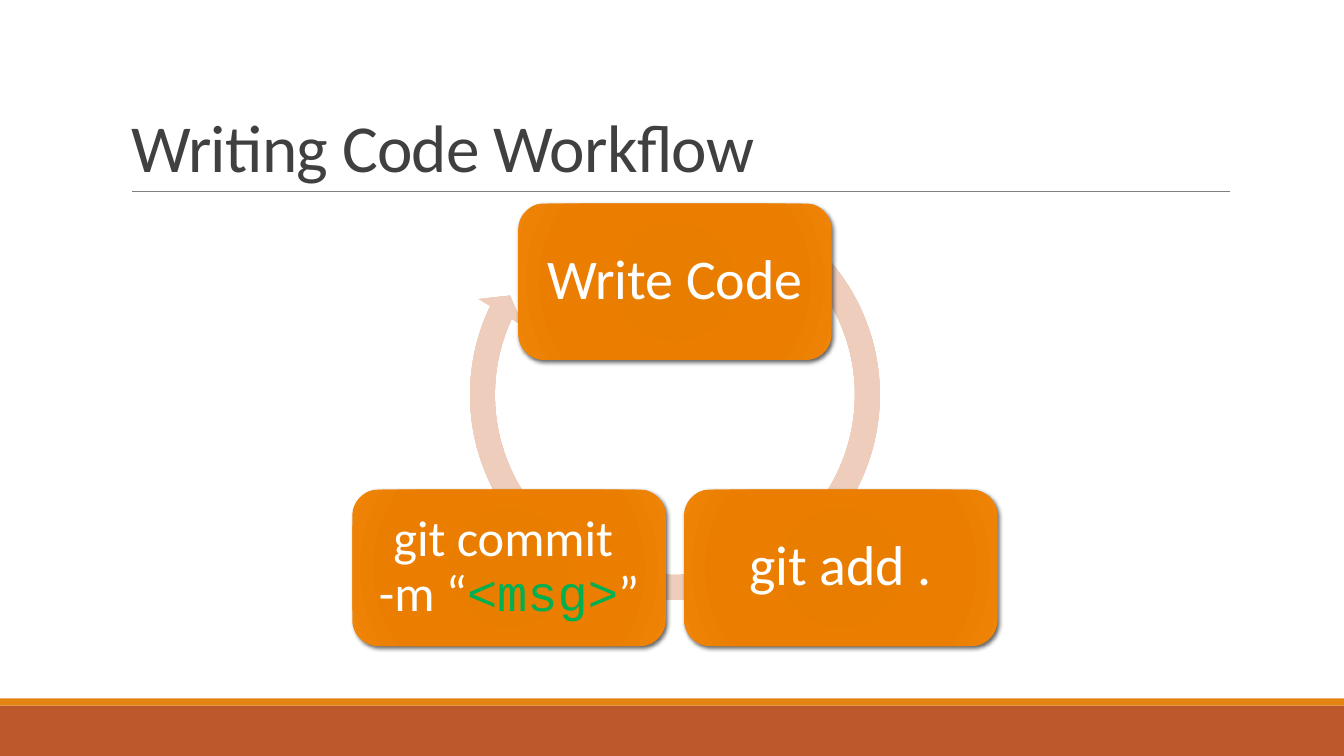
from dataclasses import dataclass

from lxml import etree
from pptx import Presentation
from pptx.dml.color import RGBColor
from pptx.enum.shapes import MSO_CONNECTOR, MSO_SHAPE
from pptx.enum.text import MSO_ANCHOR, MSO_AUTO_SIZE, PP_ALIGN
from pptx.oxml import parse_xml
from pptx.oxml.ns import nsdecls, qn
from pptx.util import Cm, Pt

RECTANGLE = MSO_SHAPE.RECTANGLE
ROUNDED = MSO_SHAPE.ROUNDED_RECTANGLE
CIRCULAR_ARROW = MSO_SHAPE.CIRCULAR_ARROW
STRAIGHT = MSO_CONNECTOR.STRAIGHT
BOTTOM, MIDDLE = MSO_ANCHOR.BOTTOM, MSO_ANCHOR.MIDDLE
LEFT, CENTER = PP_ALIGN.LEFT, PP_ALIGN.CENTER
NO_AUTOFIT = MSO_AUTO_SIZE.NONE
TITLE_ONLY = 5
LINE_BREAK = "\n"


@dataclass(frozen=True)
class Theme:
    body_font: str = "Calibri"
    code_font: str = "Courier New"
    title_color: str = "404040"
    rule_color: str = "808080"
    footer_color: str = "BD582C"
    accent_color: str = "E48312"
    step_color: str = "FFFFFF"
    message_color: str = "00B050"
    step_gradient: tuple = ("E57B00", "E87D00", "EB7E00", "EF8407")
    cycle_gradient: tuple = ("EAC8B9", "EBCABC", "EFCDBD", "F7D8CA")
    gradient_stops: tuple = (0, 34, 70, 100)
    title_size: int = 48
    step_size: int = 40
    command_size: int = 36


THEME = Theme()


def add_run(paragraph, text, size, color, font=THEME.body_font):
    run = paragraph.add_run()
    run.text = text
    run.font.size = Pt(size)
    run.font.name = font
    run.font.color.rgb = RGBColor.from_string(color)
    return run


def add_plain_shape(slide, kind, left, top, width, height):
    shape = slide.shapes.add_shape(kind, Cm(left), Cm(top), Cm(width), Cm(height))
    shape.shadow.inherit = False
    shape.line.fill.background()
    return shape


def add_band(slide, top, height, color):
    band = add_plain_shape(slide, RECTANGLE, 0, top, 33.87, height)
    band.fill.solid()
    band.fill.fore_color.rgb = RGBColor.from_string(color)


def fill_radial(shape, colors):
    stops = "".join(
        f'<a:gs pos="{stop * 1000}"><a:srgbClr val="{color}"/></a:gs>'
        for stop, color in zip(THEME.gradient_stops, colors)
    )
    radial = parse_xml(
        f'<a:gradFill {nsdecls("a")} rotWithShape="1"><a:gsLst>{stops}</a:gsLst>'
        '<a:path path="circle"><a:fillToRect l="100000" t="100000" r="100000" b="100000"/>'
        "</a:path></a:gradFill>"
    )
    shape.fill.gradient()
    properties = shape.element.spPr
    properties.replace(properties.find(qn("a:gradFill")), radial)


def add_shadow(shape):
    effects = shape.element.spPr.find(qn("a:effectLst"))
    effects.append(parse_xml(
        f'<a:outerShdw {nsdecls("a")} blurRad="{Pt(3)}" dist="{Pt(2)}" dir="2700000" '
        'algn="ctr" rotWithShape="0"><a:srgbClr val="000000"><a:alpha val="60000"/>'
        "</a:srgbClr></a:outerShdw>"
    ))


def add_title_rule(slide):
    rule = slide.shapes.add_connector(STRAIGHT, Cm(3.33), Cm(4.83), Cm(31), Cm(4.83))
    rule.line.color.rgb = RGBColor.from_string(THEME.rule_color)
    rule.line.width = Pt(0.5)
    etree.SubElement(rule.element.spPr, qn("a:effectLst"))


def write_title(slide, text):
    title = slide.shapes.title
    title.left, title.top, title.width, title.height = Cm(3.05), Cm(0.79), Cm(27.94), Cm(4.04)
    frame = title.text_frame
    frame.auto_size = NO_AUTOFIT
    frame.vertical_anchor = BOTTOM
    heading = frame.paragraphs[0]
    heading.alignment = LEFT
    heading.line_spacing = 0.85
    run = add_run(heading, text, THEME.title_size, THEME.title_color)
    run.font._element.set("spc", "-50")


def add_cycle_arrow(slide):
    arrow = add_plain_shape(slide, CIRCULAR_ARROW, 11.51, 4.45, 11, 11)
    for index, value in enumerate((0.0569, 3.4051, 123.208, 183.424, 0.0591)):
        arrow.adjustments[index] = value
    fill_radial(arrow, THEME.cycle_gradient)


def add_step(slide, center_x, center_y, inset, size, pieces):
    width, height = 7.9, 3.94
    step = add_plain_shape(
        slide, ROUNDED, center_x - width / 2, center_y - height / 2, width, height
    )
    fill_radial(step, THEME.step_gradient)
    add_shadow(step)
    frame = step.text_frame
    frame.word_wrap = True
    frame.vertical_anchor = MIDDLE
    frame.margin_left = frame.margin_right = Cm(inset)
    frame.margin_top = frame.margin_bottom = Cm(inset)
    label = frame.paragraphs[0]
    label.alignment = CENTER
    label.line_spacing = 0.9
    for text, color, font in pieces:
        if text == LINE_BREAK:
            label.add_line_break()
        else:
            add_run(label, text, size, color, font)


def main():
    presentation = Presentation()
    presentation.slide_width, presentation.slide_height = Cm(33.87), Cm(19.05)
    slide = presentation.slides.add_slide(presentation.slide_layouts[TITLE_ONLY])

    add_band(slide, 17.78, 1.27, THEME.footer_color)
    add_band(slide, 17.6, 0.18, THEME.accent_color)
    add_title_rule(slide)
    write_title(slide, "Writing Code Workflow")

    plain = (THEME.step_color, THEME.body_font)
    cycle_x, top_y, bottom_y, offset = 17.01, 7.1, 14.31, 4.18
    commit = (
        ("git commit ", *plain),
        (LINE_BREAK, *plain),
        ("-m “", *plain),
        ("<msg>", THEME.message_color, THEME.code_font),
        ("”", *plain),
    )
    add_cycle_arrow(slide)
    add_step(slide, cycle_x, top_y, 0.42, THEME.step_size, [("Write Code", *plain)])
    add_step(slide, cycle_x + offset, bottom_y, 0.42, THEME.step_size, [("git add .", *plain)])
    add_step(slide, cycle_x - offset, bottom_y, 0.38, THEME.command_size, commit)

    presentation.save("out.pptx")


if __name__ == "__main__":
    main()
